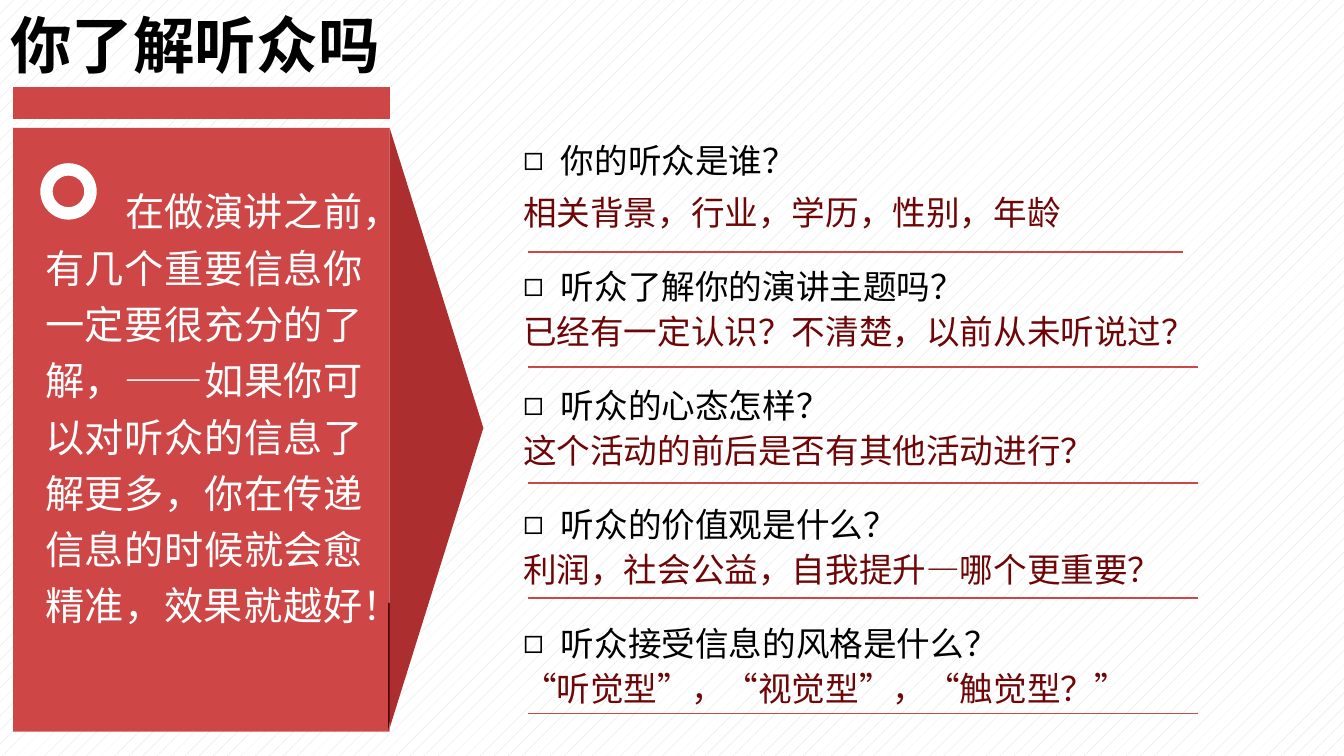
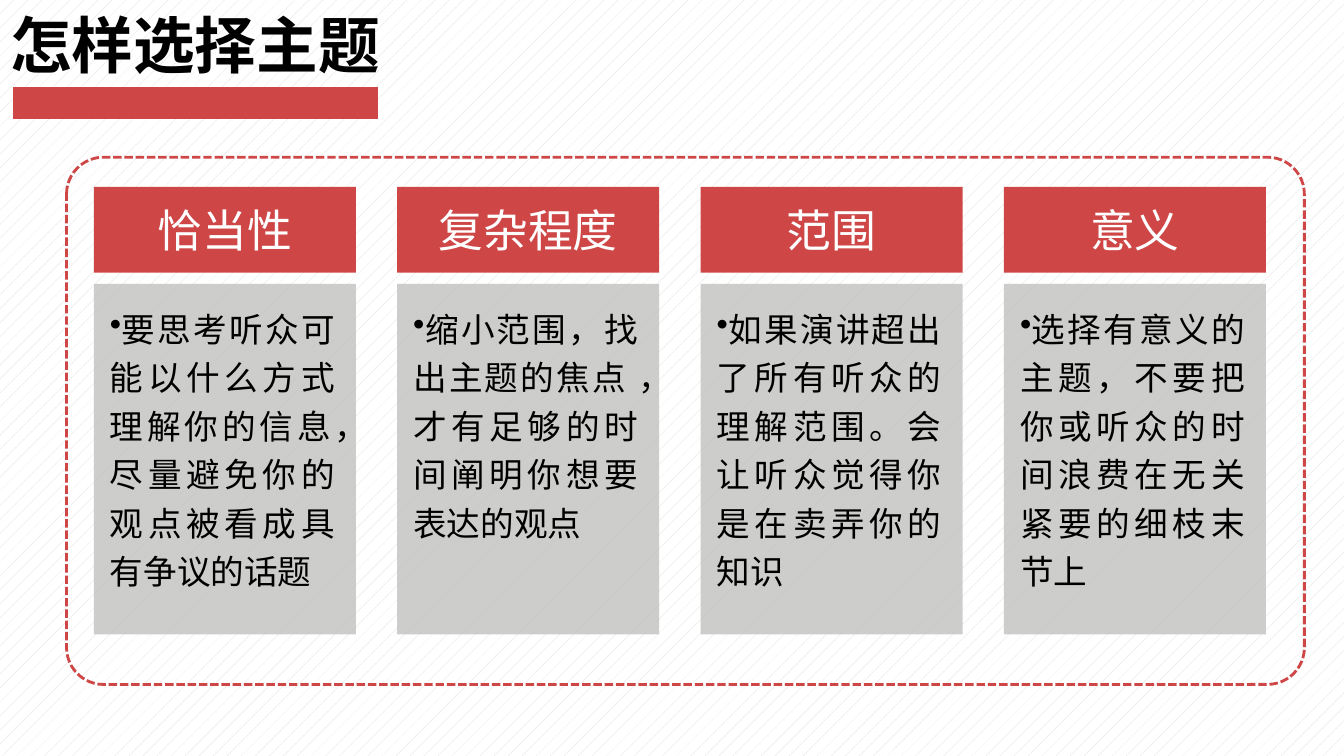
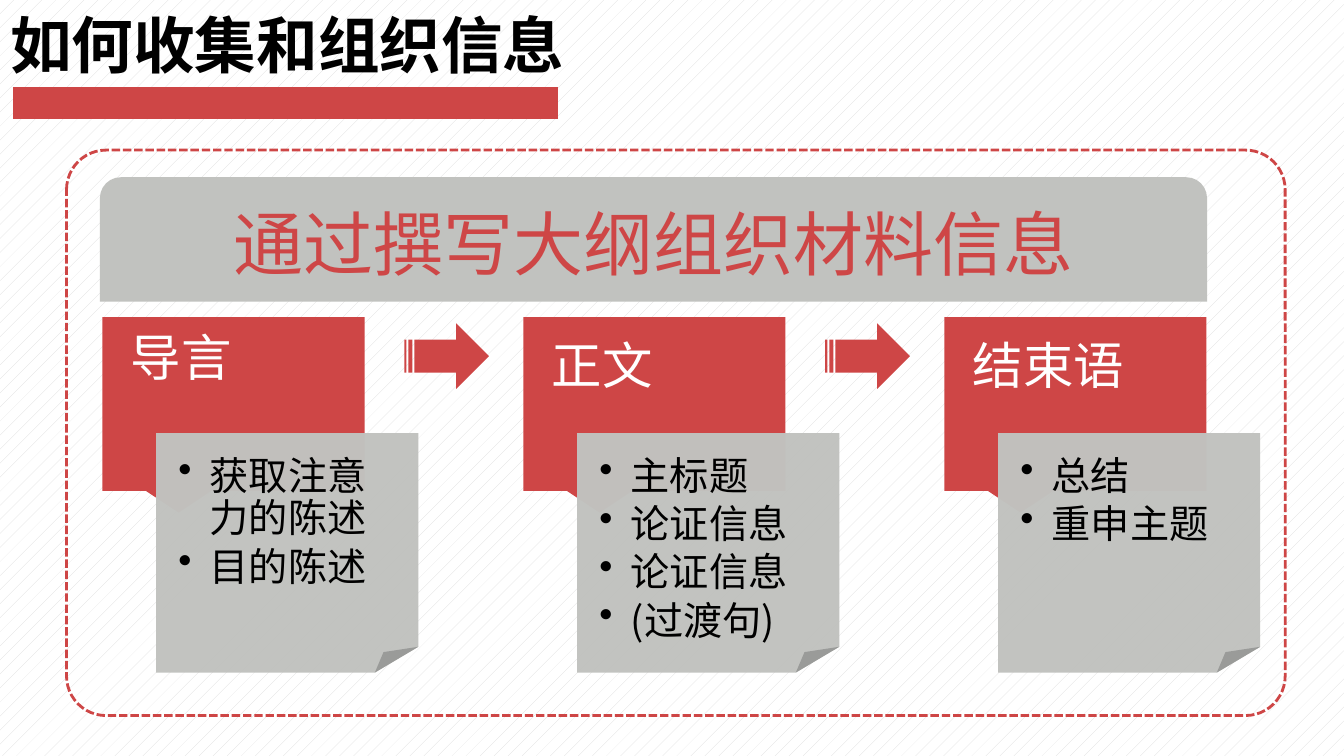
from lxml.etree import SubElement
from pptx import Presentation
from pptx.dml.color import RGBColor
from pptx.enum.dml import MSO_LINE, MSO_PATTERN
from pptx.enum.shapes import MSO_CONNECTOR, MSO_SHAPE as Preset
from pptx.enum.text import MSO_ANCHOR as Anchor, MSO_AUTO_SIZE, PP_ALIGN as Align
from pptx.oxml.ns import qn
from pptx.util import Pt

RED = RGBColor(0xCE, 0x46, 0x46)
DEEP_RED = RGBColor(0xAC, 0x2E, 0x2E)
MAROON = RGBColor(0x4C, 0x04, 0x06)
ANSWER_RED = RGBColor(0x6E, 0x06, 0x08)
GREY = RGBColor(0xC1, 0xC2, 0xBF)
FOLD_GREY = RGBColor(0x9A, 0x9B, 0x99)
HATCH = RGBColor(0xDB, 0xDB, 0xDB)
WHITE = RGBColor(0xFF, 0xFF, 0xFF)
BLACK = RGBColor(0, 0, 0)

FONT = "Noto Sans CJK SC"
TITLE_AND_BODY, TITLE_ONLY = 1, 5

QUESTIONS = [
    ("你的听众是谁？", "相关背景，行业，学历，性别，年龄"),
    ("听众了解你的演讲主题吗？", "已经有一定认识？不清楚，以前从未听说过？"),
    ("听众的心态怎样？", "这个活动的前后是否有其他活动进行？"),
    ("听众的价值观是什么？", "利润，社会公益，自我提升—哪个更重要？"),
    ("听众接受信息的风格是什么？", "“听觉型”，“视觉型”，“触觉型？”"),
]
LEAD = ("在做演讲之前，有几个重要信息你一定要很充分的了解，——如果你可以对听众的"
        "信息了解更多，你在传递信息的时候就会愈精准，效果就越好！")
CRITERIA = [
    ("恰当性", "要思考听众可能以什么方式理解你的信息，尽量避免你的观点被看成具有争议的话题"),
    ("复杂程度", "缩小范围，找出主题的焦点 ，才有足够的时间阐明你想要表达的观点"),
    ("范围", "如果演讲超出了所有听众的理解范围。会让听众觉得你是在卖弄你的知识"),
    ("意义", "选择有意义的主题，不要把你或听众的时间浪费在无关紧要的细枝末节上"),
]
# heading, space above the heading, points
OUTLINE = [
    ("导言", 13.5, ["获取注意力的陈述", "目的陈述"]),
    ("正文", 19, ["主标题", "论证信息", "论证信息", "(过渡句)"]),
    ("结束语", 19, ["总结", "重申主题"]),
]


def write(frame, text, size=24, color=BLACK, bold=False, align=Align.LEFT,
          bullet=None, margin=0, indent=0, spacing=None, before=0, after=0):
    """Fill the frame's empty first paragraph, or add one."""
    para = frame.add_paragraph() if frame.text else frame.paragraphs[0]
    props = para._p.get_or_add_pPr()
    props.set("marL", str(Pt(margin)))
    props.set("indent", str(Pt(indent)))
    if bullet:
        SubElement(props, qn("a:buChar")).set("char", bullet)
    else:
        SubElement(props, qn("a:buNone"))
    para.alignment = align
    para.space_before, para.space_after = Pt(before), Pt(after)
    if spacing:
        para.line_spacing = Pt(spacing)
    span = para.add_run()
    span.text = text
    span.font.size, span.font.bold, span.font.name = Pt(size), bold, FONT
    span.font.color.rgb = color
    SubElement(span._r.get_or_add_rPr(), qn("a:ea")).set("typeface", FONT)


def set_frame(box, insets=(7.2, 3.6, 7.2, 3.6), anchor=Anchor.TOP):
    frame = box.text_frame
    frame.word_wrap = True
    frame.auto_size = MSO_AUTO_SIZE.NONE
    frame.vertical_anchor = anchor
    (frame.margin_left, frame.margin_top,
     frame.margin_right, frame.margin_bottom) = map(Pt, insets)
    return frame


def place(box, left, top, width, height):
    box.left, box.top, box.width, box.height = map(Pt, (left, top, width, height))


class Deck:
    """Holds the presentation, its shared style and the current slide."""

    def __init__(self):
        self.deck = Presentation()
        self.deck.slide_width, self.deck.slide_height = Pt(960), Pt(540)
        fill = self.deck.slide_master.background.fill
        fill.patterned()
        fill.pattern = MSO_PATTERN.PERCENT_5
        fill.fore_color.rgb, fill.back_color.rgb = HATCH, WHITE

    def page(self, title, title_width, band_end, layout=TITLE_ONLY):
        self.slide = self.deck.slides.add_slide(self.deck.slide_layouts[layout])
        heading = self.slide.shapes.title
        place(heading, 0, 0, title_width, 62)
        write(set_frame(heading, anchor=Anchor.MIDDLE), title, size=44, bold=True)
        self.line(9.4, band_end, 73.5, 23)

    def line(self, start, end, y, weight):
        line = self.slide.shapes.add_connector(
            MSO_CONNECTOR.STRAIGHT, Pt(start), Pt(y), Pt(end), Pt(y))
        line.line.color.rgb, line.line.width = RED, Pt(weight)
        SubElement(line._element.spPr, qn("a:effectLst"))

    def paint(self, shape, fill, opacity=100):
        shape.shadow.inherit = False
        shape.line.fill.background()
        if fill is None:
            shape.fill.background()
            return shape
        shape.fill.solid()
        shape.fill.fore_color.rgb = fill
        if opacity < 100:
            color = shape._element.spPr.find(".//" + qn("a:srgbClr"))
            SubElement(color, qn("a:alpha")).set("val", str(opacity * 1000))
        return shape

    def shape(self, preset, left, top, width, height, fill, rotation=0,
              adjust=None, opacity=100):
        shape = self.slide.shapes.add_shape(
            preset, *map(Pt, (left, top, width, height)))
        shape.rotation = rotation
        if adjust is not None:
            shape.adjustments[0] = adjust
        return self.paint(shape, fill, opacity)

    def outline(self, left, top, points, fill, opacity=100):
        """Closed polygon; points are offsets from left and top."""
        (first, *rest) = [(Pt(left + x), Pt(top + y)) for x, y in points]
        builder = self.slide.shapes.build_freeform(*first)
        builder.add_line_segments(rest, close=True)
        return self.paint(builder.convert_to_shape(), fill, opacity)

    def dashed_frame(self, top, width, height):
        frame = self.shape(Preset.ROUNDED_RECTANGLE, 47.5, top, width, height,
                           None, adjust=0.07)
        frame.line.color.rgb, frame.line.width = RED, Pt(2)
        frame.line.dash_style = MSO_LINE.SQUARE_DOT

    def text_box(self, left, top, width, height):
        box = self.slide.shapes.add_textbox(
            *map(Pt, (left, top, width, height)))
        return set_frame(box)

    def body(self, left, top, width, height):
        box = self.slide.placeholders[1]
        place(box, left, top, width, height)
        return set_frame(box)


def audience_page(deck):
    deck.page("你了解听众吗", 281, 278.6, TITLE_AND_BODY)
    deck.shape(Preset.RECTANGLE, 9.4, 91.4, 268.9, 431.2, RED)
    deck.shape(Preset.RIGHT_TRIANGLE, 239.8, 468, 91.4, 16.6, MAROON, rotation=90)
    deck.shape(Preset.DONUT, 28.8, 116.6, 40.3, 40.3, WHITE, adjust=0.22)
    lead = deck.text_box(25.2, 124, 241.2, 370)
    write(lead, LEAD, size=28, color=WHITE, align=Align.JUSTIFY, indent=57,
          spacing=40.2)

    questions = deck.body(366.5, 93, 522, 422)
    for index, (question, answer) in enumerate(QUESTIONS):
        write(questions, question, bullet="◻", margin=27, indent=-27, spacing=32,
              before=21 if index else 0, after=0 if index else 5)
        write(questions, answer, color=ANSWER_RED, spacing=32)
        deck.line(377.3, 855.4 if index else 845.3, 180 + 82.4 * index, 1.2)

    deck.shape(Preset.ISOSCELES_TRIANGLE, 97.2, 272.2, 429.1, 67, DEEP_RED,
               rotation=90, adjust=0.5)


def topic_page(deck):
    deck.page("怎样选择主题", 287, 270)
    for index, (name, advice) in enumerate(CRITERIA):
        left = 67 + 216.7 * index
        card = deck.shape(Preset.RECTANGLE, left, 202.8, 187.2, 250.4, GREY,
                          opacity=80)
        write(set_frame(card, (11.5, 12, 15.1, 17.3)), advice,
              align=Align.JUSTIFY, bullet="•", spacing=34.6)
        header = deck.shape(Preset.RECTANGLE, left, 133.5, 187.2, 61.2, RED)
        write(set_frame(header, anchor=Anchor.MIDDLE), name, size=32,
              color=WHITE, align=Align.CENTER)
    deck.dashed_frame(112.3, 884.2, 376.6)


def outline_page(deck):
    deck.page("如何收集和组织信息", 420.5, 398.9)
    callout = [(0, 0), (187.2, 0), (187.2, 124), (77.8, 124), (54.4, 139.5),
               (31, 124), (0, 124)]
    note = [(0, 0), (187.2, 0), (187.2, 152.6), (156.2, 171), (0, 171)]
    fold = [(156.2, 171), (162.4, 156.4), (187.2, 152.6)]
    for index, (name, space_above, points) in enumerate(OUTLINE):
        left = 73.2 + 300.7 * index
        header = deck.outline(left, 226.6, callout, RED)
        write(set_frame(header, (20.2, space_above, 20.2, 0)), name, size=36,
              color=WHITE, spacing=36)
        sheet = deck.outline(left + 38.4, 309.4, note, GREY, opacity=98)
        frame = set_frame(sheet, (15.8, 15.8, 15.8, 0))
        for point in points:
            write(frame, point, size=28, bullet="•", margin=22.5, indent=-22.5,
                  spacing=30.5, after=4)
        deck.outline(left + 38.4, 309.4, fold, FOLD_GREY)
        if index < len(OUTLINE) - 1:
            deck.shape(Preset.STRIPED_RIGHT_ARROW, left + 215.6, 231, 60.5, 46.8, RED)
    banner = deck.shape(Preset.ROUND_2_SAME_RECTANGLE, 71.4, 126.6, 790.8, 88.8, GREY)
    write(set_frame(banner, anchor=Anchor.MIDDLE), "通过撰写大纲组织材料信息",
          size=50, color=RED, align=Align.CENTER)
    deck.dashed_frame(107.2, 870.5, 403.9)


def main():
    deck = Deck()
    audience_page(deck)
    topic_page(deck)
    outline_page(deck)
    deck.deck.save("out.pptx")


if __name__ == "__main__":
    main()
